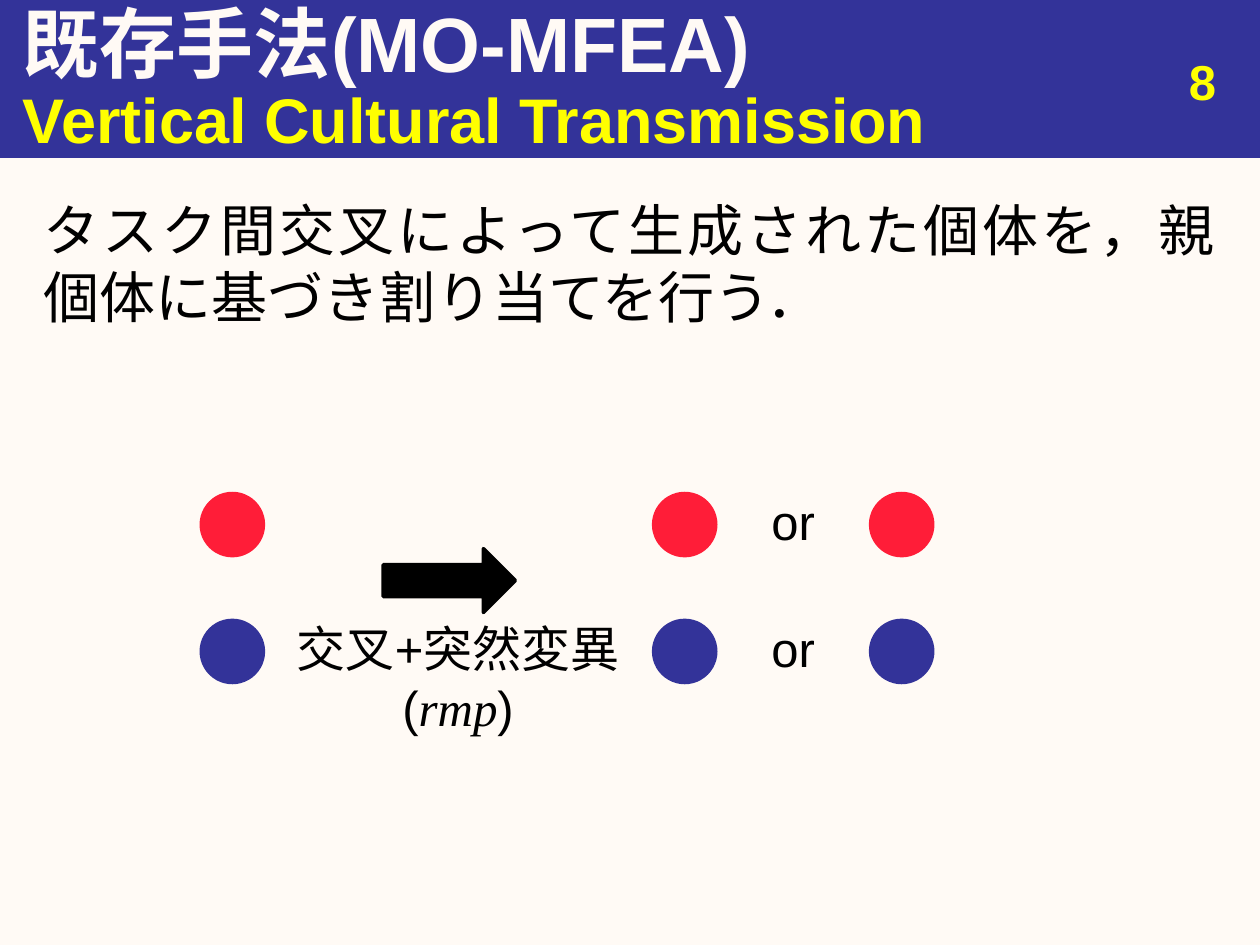
from pptx import Presentation
from pptx.dml.color import RGBColor
from pptx.enum import shapes as sh, text as tx
from pptx.util import Pt

HUES = {"navy": "333399", "red": "FF1D38", "cream": "FFFAF5",
        "yellow": "FFFF00", "black": "000000"}
MID = tx.MSO_ANCHOR.MIDDLE
ALIGN = tx.PP_ALIGN


def hue(name):
    """Return the named colour."""
    return RGBColor.from_string(HUES[name])


def form(slide, kind, box, fill, line=None):
    """Add a flat shape, with an outline width if given."""
    part = slide.shapes.add_shape(kind, *map(Pt, box))
    part.shadow.inherit = False
    part.fill.solid()
    part.fill.fore_color.rgb = hue(fill)
    if line:
        part.line.color.rgb = hue(fill)
        part.line.width = Pt(line)
    else:
        part.line.fill.background()


def write(slide, box, lines, size, color="black", bold=False,
          align=ALIGN.LEFT, anchor=tx.MSO_ANCHOR.TOP):
    """Add a text box from lines of (words, font, italic) runs."""
    frame = slide.shapes.add_textbox(*map(Pt, box)).text_frame
    frame.word_wrap = True
    frame.vertical_anchor = anchor
    for i, line in enumerate(lines):
        para = frame.paragraphs[0] if i == 0 else frame.add_paragraph()
        para.alignment = align
        for words, face, slant in line:
            run = para.add_run()
            run.text = words
            font = run.font
            font.name, font.size = face, Pt(size)
            font.bold, font.italic = bold, slant
            font.color.rgb = hue(color)


def plain(words):
    """Return a line with one upright run."""
    return [(words, "Arial", False)]


def header(slide, x, y, w, h):
    """Draw the title band with subtitle and page number."""
    form(slide, sh.MSO_SHAPE.RECTANGLE, (x, y, w, h), "navy", 0.75)
    write(slide, (x + 6, y, w - 6, 48), [plain("既存手法(MO-MFEA)")],
          44, "cream", True, anchor=MID)
    write(slide, (x + 6, y + 45, w - 6, h - 45),
          [plain("Vertical Cultural Transmission")],
          36, "yellow", True, anchor=MID)
    write(slide, (x + w - 186, y + 26, 168, 37), [plain("8")],
          28, "yellow", True, ALIGN.RIGHT)


def body(slide, x, y, w, h):
    """Write the explanation."""
    line = "タスク間交叉によって生成された個体を，親個体に基づき割り当てを行う．"
    write(slide, (x, y, w, h), [plain(line)], 32, align=ALIGN.JUSTIFY)


def flow(slide, x, y):
    """Draw parents, the operator arrow and the possible children."""
    size, step = 37.5, 72.5
    for row, color in enumerate(("red", "navy")):
        top = y + row * step
        for left in (0, 258.5, 382.5):
            form(slide, sh.MSO_SHAPE.OVAL, (x + left, top, size, size), color)
        write(slide, (x + 318, top - 3.5, 42.5, 41), [plain("or")],
              28, align=ALIGN.CENTER)
    form(slide, sh.MSO_SHAPE.RIGHT_ARROW, (x + 105, y + 32.5, 75.5, 36.5),
         "black", 2)
    rate = [("(", "Arial", False), ("rmp", "Times New Roman", True),
            (")", "Arial", False)]
    write(slide, (x + 30, y + 69, 235.5, 75), [plain("交叉+突然変異"), rate],
          28, align=ALIGN.CENTER)


def main():
    """Build and save the slide."""
    deck = Presentation()
    deck.slide_width, deck.slide_height = Pt(720), Pt(540)
    slide = deck.slides.add_slide(deck.slide_layouts[6])
    slide.background.fill.solid()
    slide.background.fill.fore_color.rgb = hue("cream")
    header(slide, 0, 0, 720, 90)
    body(slide, 18, 108, 684, 408)
    flow(slide, 114, 281)
    deck.save("out.pptx")


if __name__ == "__main__":
    main()
